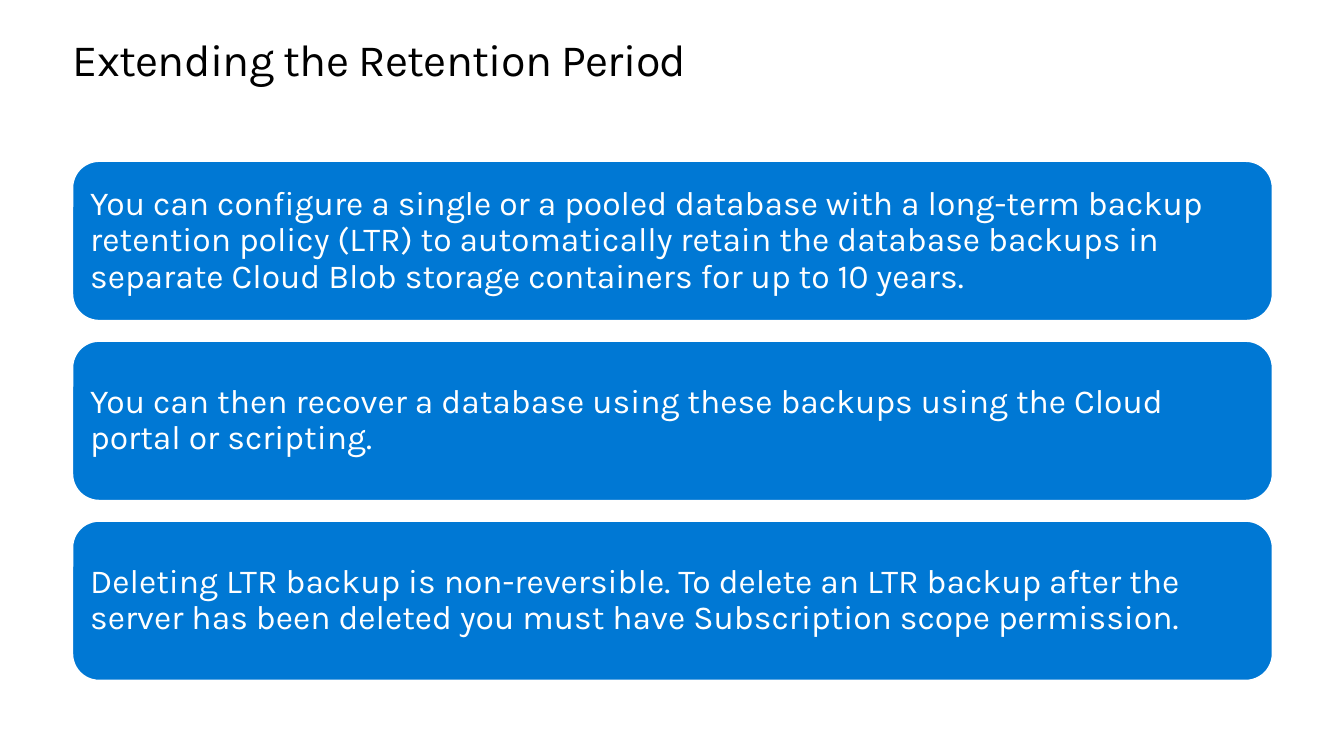
"""Build the slide on extending the backup retention period."""
from dataclasses import dataclass

import pptx
import pptx.dml.color
import pptx.enum.shapes
import pptx.enum.text
import pptx.slide
import pptx.text.text
import pptx.util
from pptx.util import Inches


@dataclass(frozen=True)
class Theme:
    font: str = "Karla"
    accent: str = "0078D4"
    light: str = "FFFFFF"
    dark: str = "000000"
    title_size: int = 32
    card_size: int = 24


@dataclass(frozen=True)
class Card:
    text: str
    top: float


THEME = Theme()
LEFT, WIDTH = 0.72, 11.9
FIRST_CARD_TOP, LAST_CARD_TOP, CARD_HEIGHT = 1.6, 5.17, 1.58
CARD_INSET = 0.1
MESSAGES = (
    "You can configure a single or a pooled database with a long-term backup "
    "retention policy (LTR) to automatically retain the database backups in "
    "separate Cloud Blob storage containers for up to 10 years.",
    "You can then recover a database using these backups using the Cloud "
    "portal or scripting.",
    "Deleting LTR backup is non-reversible. To delete an LTR backup after the "
    "server has been deleted you must have Subscription scope permission.",
)
CARD_PITCH = (LAST_CARD_TOP - FIRST_CARD_TOP) / (len(MESSAGES) - 1)


def rgb(value: str) -> pptx.dml.color.RGBColor:
    return pptx.dml.color.RGBColor.from_string(value)


def format_run(run: pptx.text.text._Run, size: int, color: str) -> None:
    run.font.name = THEME.font
    run.font.size = pptx.util.Pt(size)
    run.font.color.rgb = rgb(color)


def set_insets(frame: pptx.text.text.TextFrame, inset: float) -> None:
    frame.margin_left = frame.margin_right = Inches(inset)
    frame.margin_top = frame.margin_bottom = Inches(inset)


def draw_title(slide: pptx.slide.Slide, text: str) -> None:
    title = slide.shapes.title
    title.left, title.top = Inches(LEFT), Inches(0.35)
    title.width, title.height = Inches(WIDTH), Inches(0.5)
    title.fill.solid()
    title.fill.fore_color.rgb = rgb(THEME.light)
    frame = title.text_frame
    frame.text = text
    frame.word_wrap = True
    frame.auto_size = pptx.enum.text.MSO_AUTO_SIZE.SHAPE_TO_FIT_TEXT
    frame.vertical_anchor = pptx.enum.text.MSO_ANCHOR.TOP
    set_insets(frame, 0)
    paragraph = frame.paragraphs[0]
    paragraph.alignment = pptx.enum.text.PP_ALIGN.LEFT
    paragraph.line_spacing = pptx.util.Pt(36.2)
    paragraph.space_before = pptx.util.Pt(0)
    run = paragraph.runs[0]
    format_run(run, THEME.title_size, THEME.dark)
    run.font._element.set("spc", "-50")


def draw_card(slide: pptx.slide.Slide, card: Card) -> None:
    shape = slide.shapes.add_shape(
        pptx.enum.shapes.MSO_SHAPE.ROUNDED_RECTANGLE,
        Inches(LEFT), Inches(card.top), Inches(WIDTH), Inches(CARD_HEIGHT),
    )
    shape.shadow.inherit = False
    shape.fill.solid()
    shape.fill.fore_color.rgb = rgb(THEME.accent)
    shape.line.color.rgb = rgb(THEME.light)
    shape.line.width = pptx.util.Pt(1)
    frame = shape.text_frame
    frame.text = card.text
    frame.word_wrap = True
    frame.vertical_anchor = pptx.enum.text.MSO_ANCHOR.MIDDLE
    set_insets(frame, CARD_INSET)
    paragraph = frame.paragraphs[0]
    paragraph.alignment = pptx.enum.text.PP_ALIGN.LEFT
    paragraph.line_spacing = 0.9
    format_run(paragraph.runs[0], THEME.card_size, THEME.light)


def main() -> None:
    presentation = pptx.Presentation()
    presentation.slide_width = Inches(13.33)
    presentation.slide_height = Inches(7.5)
    slide = presentation.slides.add_slide(presentation.slide_layouts[5])
    draw_title(slide, "Extending the Retention Period")
    for index, message in enumerate(MESSAGES):
        draw_card(slide, Card(message, FIRST_CARD_TOP + index * CARD_PITCH))
    presentation.save("out.pptx")


if __name__ == "__main__":
    main()
